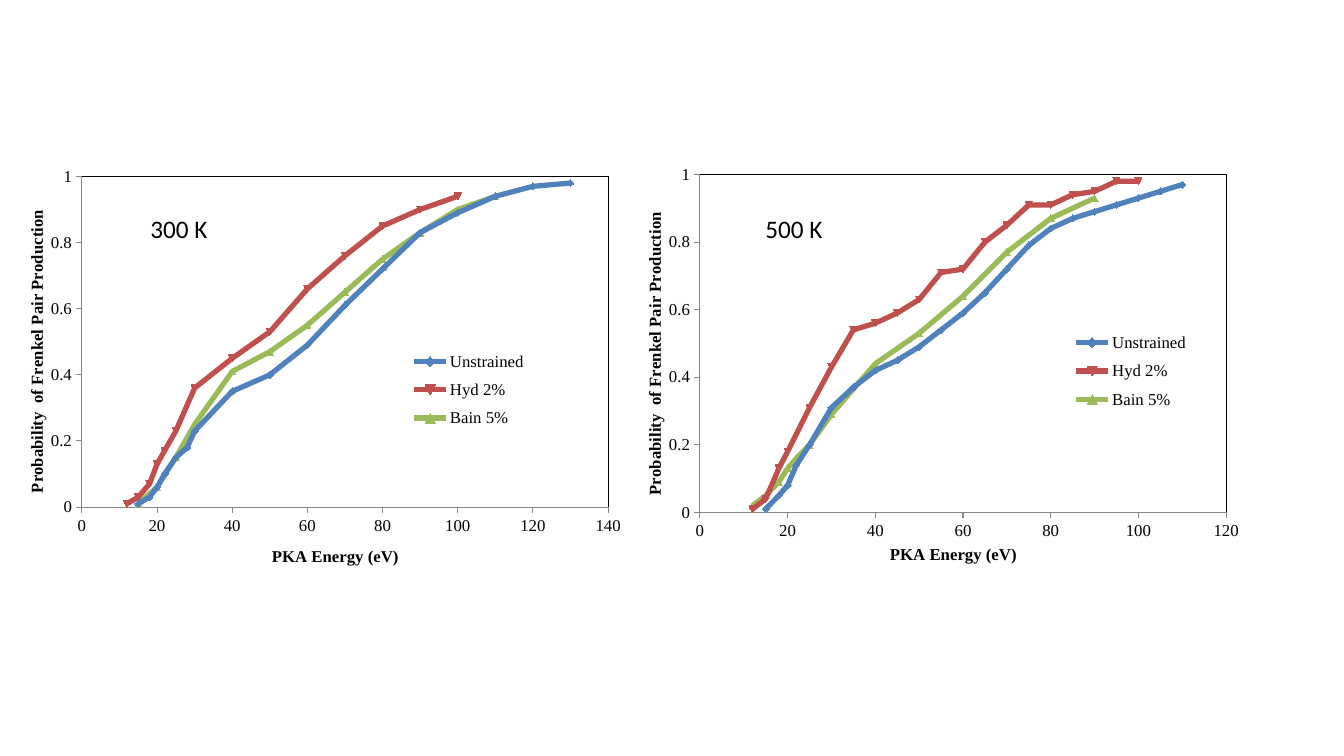
import dataclasses
import typing

import lxml.etree
import pptx
import pptx.chart.data
import pptx.dml.color
import pptx.enum.chart
import pptx.enum.text
import pptx.oxml.ns
import pptx.util

Inches, Pt, qn = pptx.util.Inches, pptx.util.Pt, pptx.oxml.ns.qn
Marker = pptx.enum.chart.XL_MARKER_STYLE

BLACK = pptx.dml.color.RGBColor(0x00, 0x00, 0x00)
GREY = pptx.dml.color.RGBColor(0x86, 0x86, 0x86)
BLUE = pptx.dml.color.RGBColor(0x4F, 0x81, 0xBD)
RED = pptx.dml.color.RGBColor(0xC0, 0x50, 0x4D)
GREEN = pptx.dml.color.RGBColor(0x9B, 0xBB, 0x59)

ENERGY_TITLE = "PKA Energy (eV)"
PROBABILITY_TITLE = "Probability  of Frenkel Pair Production"
TICK_FONT = {"name": "Times New Roman", "size": Pt(12), "bold": False}
TITLE_FONT = {**TICK_FONT, "bold": True}
LABEL_FONT = {"name": "Calibri", "size": Pt(18)}


class Strain(typing.NamedTuple):
    """Name and look of one strain state."""
    name: str
    color: pptx.dml.color.RGBColor
    marker: Marker


STRAINS = (
    Strain("Unstrained", BLUE, Marker.DIAMOND),
    Strain("Hyd 2%", RED, Marker.AUTOMATIC),
    Strain("Bain 5%", GREEN, Marker.TRIANGLE),
)


class Curve(typing.NamedTuple):
    """Energies and the probabilities found at them."""
    energies: list[int]
    probabilities: list[float]


@dataclasses.dataclass
class Panel:
    """One temperature; layouts are fractions of the chart."""
    label: str
    left: float
    top: float
    label_left: float
    max_energy: int
    plot: tuple[float, ...]
    legend: tuple[float, ...]
    energy_title: tuple[float, ...]
    probability_title: tuple[float, ...]
    curves: list[Curve]


PANELS = [
    Panel("300 K", 0.23, 1.66, 1.3, 140, (0.097, 0.023, 0.87, 0.832),
          (0.627, 0.44, 0.22, 0.24), (0.406, 0.945), (0, 0.11), [
        Curve([15, 18, 20, 22, 25, 28, *range(30, 131, 10)],
              [0.01, 0.03, 0.06, 0.1, 0.15, 0.18, 0.23, 0.35, 0.4, 0.49, 0.61,
               0.72, 0.83, 0.89, 0.94, 0.97, 0.98]),
        Curve([12, 15, 18, 20, 22, 25, *range(30, 101, 10)],
              [0.01, 0.03, 0.07, 0.13, 0.17, 0.23, 0.36, 0.45, 0.53, 0.66,
               0.76, 0.85, 0.9, 0.94]),
        Curve([15, 20, 25, *range(30, 111, 10)],
              [0.01, 0.06, 0.15, 0.25, 0.41, 0.47, 0.55, 0.65, 0.75, 0.83,
               0.9, 0.94]),
    ]),
    Panel("500 K", 6.36, 1.64, 7.4, 120, (0.097, 0.023, 0.87, 0.846),
          (0.7, 0.395, 0.22, 0.24), (0.406, 0.94), (0, 0.116), [
        Curve([15, 18, 20, 22, *range(25, 111, 5)],
              [0.01, 0.05, 0.08, 0.14, 0.2, 0.31, 0.37, 0.42, 0.45, 0.49, 0.54,
               0.59, 0.65, 0.72, 0.79, 0.84, 0.87, 0.89, 0.91, 0.93, 0.95,
               0.97]),
        Curve([12, 15, 18, 20, *range(25, 101, 5)],
              [0.01, 0.04, 0.13, 0.18, 0.31, 0.43, 0.54, 0.56, 0.59, 0.63,
               0.71, 0.72, 0.8, 0.85, 0.91, 0.91, 0.94, 0.95, 0.98, 0.98]),
        Curve([12, 15, 18, 20, 22, 25, *range(30, 91, 10)],
              [0.02, 0.05, 0.09, 0.13, 0.16, 0.2, 0.29, 0.44, 0.53, 0.64, 0.77,
               0.87, 0.93]),
    ]),
]


def apply_format(target: typing.Any, values: dict[str, typing.Any]) -> None:
    """Set each named attribute on the target."""
    for name, value in values.items():
        setattr(target, name, value)


def set_font(font: typing.Any, values: dict[str, typing.Any]) -> None:
    """Apply font values in black."""
    apply_format(font, values)
    font.color.rgb = BLACK


def set_layout(parent: typing.Any, fractions: tuple[float, ...], inner: bool = False) -> None:
    """Place a chart part by x, y and optionally width, height."""
    for old in parent.findall(qn("c:layout")):
        parent.remove(old)
    layout = lxml.etree.Element(qn("c:layout"))
    manual = lxml.etree.SubElement(layout, qn("c:manualLayout"))
    values = [("layoutTarget", "inner")] if inner else []
    values += [("xMode", "edge"), ("yMode", "edge")]
    values += zip("xywh", map(str, fractions))
    for tag, value in values:
        lxml.etree.SubElement(manual, qn(f"c:{tag}")).set("val", value)
    overlay = parent.find(qn("c:overlay"))
    if overlay is None:
        parent.insert(0, layout)
    else:
        overlay.addprevious(layout)


def add_plot_border(plot_area: typing.Any) -> None:
    """Outline the plot area in thin black."""
    sp_pr = lxml.etree.SubElement(plot_area, qn("c:spPr"))
    lxml.etree.SubElement(sp_pr, qn("a:noFill"))
    line = lxml.etree.SubElement(sp_pr, qn("a:ln"), w=str(Pt(0.75)))
    fill = lxml.etree.SubElement(line, qn("a:solidFill"))
    lxml.etree.SubElement(fill, qn("a:srgbClr"), val=str(BLACK))


def style_axis(axis: typing.Any, title: str, place: tuple[float, ...],
               maximum: float, step: float) -> None:
    """Scale, title and line of one axis."""
    apply_format(axis, {
        "minimum_scale": 0, "maximum_scale": maximum, "major_unit": step,
        "has_major_gridlines": False,
        "major_tick_mark": pptx.enum.chart.XL_TICK_MARK.OUTSIDE,
        "minor_tick_mark": pptx.enum.chart.XL_TICK_MARK.NONE,
    })
    apply_format(axis.tick_labels, {"number_format": "General",
                                    "number_format_is_linked": False})
    set_font(axis.tick_labels.font, TICK_FONT)
    axis.format.line.color.rgb = GREY
    axis.format.line.width = Pt(0.75)
    p = axis.axis_title.text_frame.paragraphs[0]
    r = p.add_run()
    r.text = title
    set_font(r.font, TITLE_FONT)
    set_layout(p._p.getparent().getparent().getparent(), place)


def style_series(series: typing.Any, strain: Strain, index: int) -> None:
    """Line and marker of one curve; the index picks automatic markers."""
    series.smooth = False
    series.format.line.color.rgb = strain.color
    series.format.line.width = Pt(3.75)
    apply_format(series.marker, {"style": strain.marker, "size": 5})
    series.marker.format.fill.solid()
    series.marker.format.fill.fore_color.rgb = strain.color
    series.marker.format.line.color.rgb = strain.color
    series._element.find(qn("c:idx")).set("val", str(index))


def add_panel_chart(slide: typing.Any, panel: Panel) -> None:
    """Draw the scatter chart of one temperature."""
    data = pptx.chart.data.XyChartData()
    for strain, curve in zip(STRAINS, panel.curves):
        points = data.add_series(strain.name)
        for energy, probability in zip(curve.energies, curve.probabilities):
            points.add_data_point(energy, probability)
    chart = slide.shapes.add_chart(
        pptx.enum.chart.XL_CHART_TYPE.XY_SCATTER_LINES, Inches(panel.left),
        Inches(panel.top), Inches(6), Inches(4), data).chart
    apply_format(chart, {"has_title": False, "has_legend": True})
    set_font(chart.font, TICK_FONT)
    chart.plots[0].vary_by_categories = False
    style_axis(chart.category_axis, ENERGY_TITLE, panel.energy_title, panel.max_energy, 20)
    style_axis(chart.value_axis, PROBABILITY_TITLE, panel.probability_title, 1, 0.2)
    for index, (series, strain) in enumerate(zip(chart.plots[0].series, STRAINS), 1):
        style_series(series, strain, index)
    apply_format(chart.legend, {
        "position": pptx.enum.chart.XL_LEGEND_POSITION.RIGHT, "include_in_layout": True})
    set_font(chart.legend.font, TICK_FONT)
    set_layout(chart.legend._element, panel.legend)
    plot_area = chart._chartSpace.chart.plotArea
    set_layout(plot_area, panel.plot, inner=True)
    add_plot_border(plot_area)


def add_label(slide: typing.Any, panel: Panel) -> None:
    """Write the temperature over its chart."""
    sp = slide.shapes.add_textbox(Inches(panel.label_left), Inches(2.07),
                                  Inches(0.95), Inches(0.4))
    tf = sp.text_frame
    tf.word_wrap = True
    p = tf.paragraphs[0]
    p.alignment = pptx.enum.text.PP_ALIGN.CENTER
    r = p.add_run()
    r.text = panel.label
    set_font(r.font, LABEL_FONT)


prs = pptx.Presentation()
prs.slide_width, prs.slide_height = Inches(13.33), Inches(7.5)
s = prs.slides.add_slide(prs.slide_layouts[6])
for draw in (add_panel_chart, add_label):
    for panel in PANELS:
        draw(s, panel)
prs.save("out.pptx")
